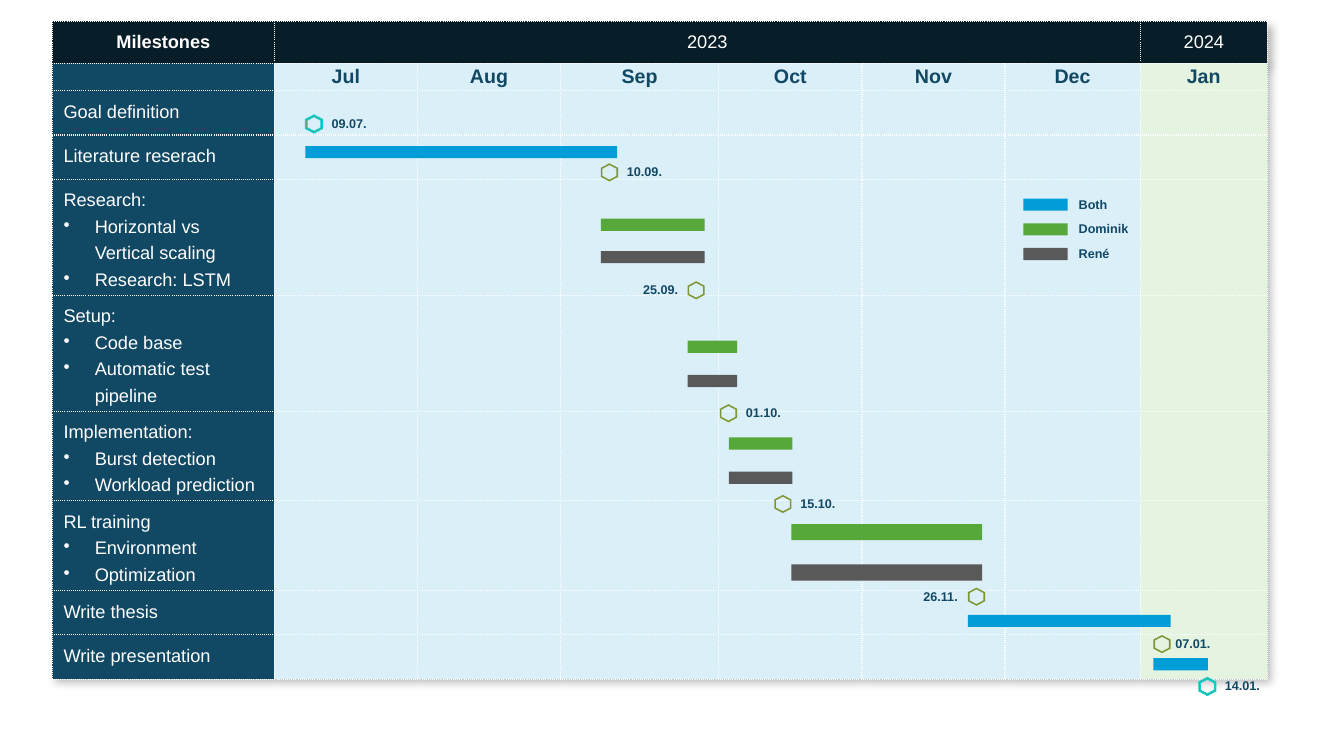
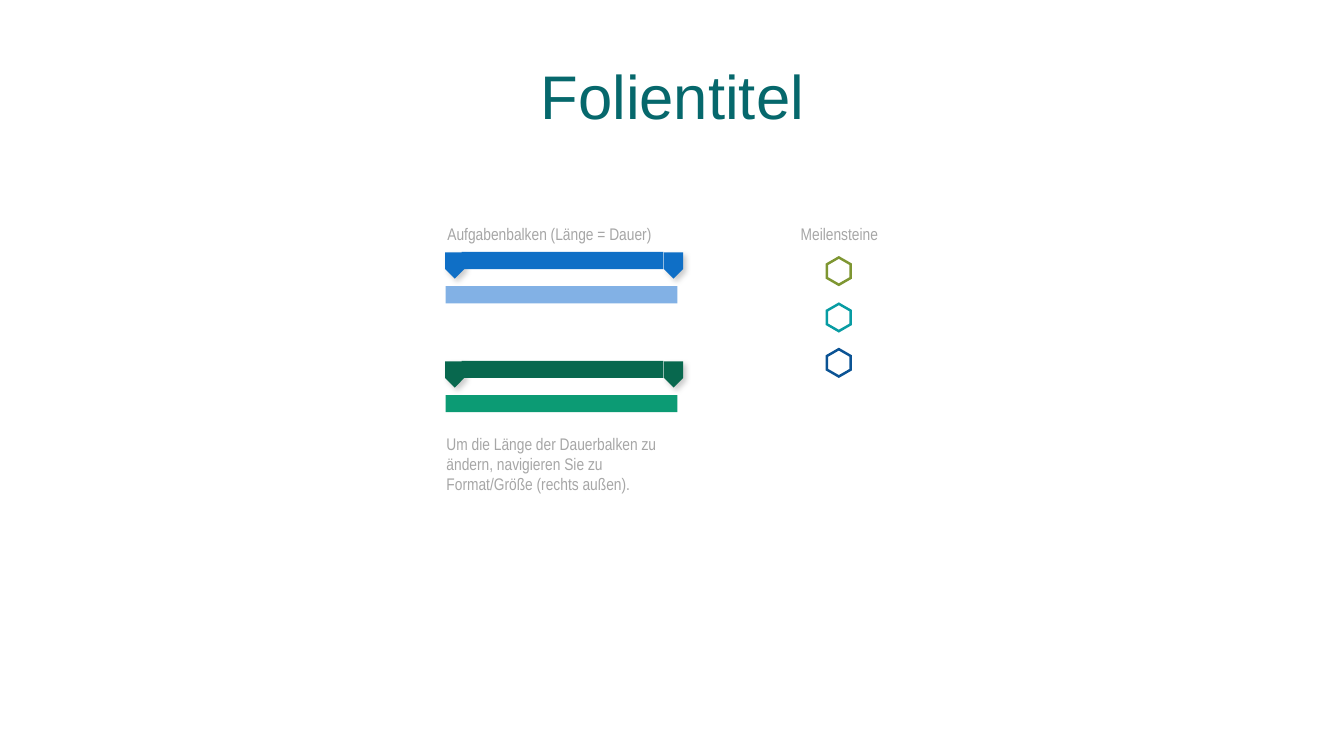
from lxml import etree
from pptx import Presentation
from pptx.dml.color import RGBColor
from pptx.enum import shapes, text
from pptx.oxml import ns
from pptx.util import Inches, Pt

WHITE = RGBColor(0xFF, 0xFF, 0xFF)
HEADER_NAVY = RGBColor(0x07, 0x1D, 0x28)
NAVY = RGBColor(0x11, 0x48, 0x64)
YEAR_BLUE = RGBColor(0xDB, 0xEF, 0xF9)
YEAR_GREEN = RGBColor(0xE5, 0xF4, 0xE0)
BOTH = RGBColor(0x00, 0x9D, 0xD9)
DOMINIK = RGBColor(0x55, 0xA8, 0x39)
RENE = RGBColor(0x59, 0x59, 0x59)
OLIVE = RGBColor(0x7E, 0x96, 0x32)
TURQUOISE = RGBColor(0x0B, 0xD0, 0xD9)
TEAL = RGBColor(0x08, 0x9C, 0xA3)
DEEP_BLUE = RGBColor(0x0B, 0x53, 0x94)
BLUE = RGBColor(0x0F, 0x6F, 0xC6)
LIGHT_BLUE = RGBColor(0x82, 0xB1, 0xE5)
DARK_GREEN = RGBColor(0x08, 0x68, 0x4E)
GREEN = RGBColor(0x0C, 0x9B, 0x74)
TITLE_TEAL = RGBColor(0x06, 0x68, 0x6C)
GREY = RGBColor(0xA6, 0xA6, 0xA6)

CENTER = text.PP_ALIGN.CENTER
MIDDLE = text.MSO_ANCHOR.MIDDLE
CELL_MARGINS = (0.11, 0.05)

MONTHS = ["Jul", "Aug", "Sep", "Oct", "Nov", "Dec", "Jan"]
MONTH_WIDTHS = [1.42, 1.42, 1.57, 1.42, 1.42, 1.34, 1.26]
TASK_WIDTH = 2.2
TASKS = [
    (0.44, ["Goal definition"]),
    (0.44, ["Literature reserach"]),
    (1.15, ["Research:", "Horizontal vs Vertical scaling", "Research: LSTM"]),
    (1.15, ["Setup:", "Code base", "Automatic test pipeline"]),
    (0.89, ["Implementation:", "Burst detection", "Workload prediction"]),
    (0.89, ["RL training", "Environment", "Optimization"]),
    (0.44, ["Write thesis"]),
    (0.44, ["Write presentation"]),
]
DATE_RIGHT, DATE_LEFT = 0.16, -0.54
MILESTONES = [
    ("09.07.", 3.03, 1.14, DATE_RIGHT, TURQUOISE),
    ("10.09.", 5.96, 1.62, DATE_RIGHT, None),
    ("25.09.", 6.82, 2.79, DATE_LEFT, None),
    ("01.10.", 7.14, 4.01, DATE_RIGHT, None),
    ("15.10.", 7.68, 4.91, DATE_RIGHT, None),
    ("26.11.", 9.6, 5.83, DATE_LEFT, None),
    ("07.01.", 11.44, 6.3, 0.12, None),
    ("14.01.", 11.89, 6.72, DATE_RIGHT, TURQUOISE),
]
SHARED_BARS = [(3.03, 1.45, 3.09), (9.6, 6.1, 2.01), (11.44, 6.53, 0.54)]
PAIRED_BARS = [
    (5.96, 1.03, 2.17, 2.49, 0.12),
    (6.82, 0.49, 3.38, 3.72, 0.12),
    (7.23, 0.63, 4.34, 4.68, 0.12),
    (7.85, 1.89, 5.2, 5.6, 0.16),
]


def write(frame, lines, size=13, font="Arial", color=WHITE, bold=False,
          align=None, spacing=None, bullets=False):
    for index, line in enumerate(lines):
        paragraph = frame.add_paragraph() if index else frame.paragraphs[0]
        paragraph.alignment = align
        paragraph.line_spacing = spacing
        if bullets and index:
            properties = paragraph._p.get_or_add_pPr()
            properties.set("marL", str(Inches(0.31)))
            properties.set("indent", str(-Inches(0.31)))
            etree.SubElement(properties, ns.qn("a:buChar"), char="•")
        run = paragraph.add_run()
        run.text = line
        run.font.size = Pt(size)
        run.font.name = font
        run.font.bold = bold
        run.font.color.rgb = color


def add_label(slide, content, left, top, width, height=0.25, **style):
    label = slide.shapes.add_textbox(*map(Inches, (left, top, width, height)))
    label.text_frame.word_wrap = True
    write(label.text_frame, [content], **style)


def add_shadow(effects, blur=4, distance=3, opacity=20):
    shadow = etree.SubElement(
        effects, ns.qn("a:outerShdw"), blurRad=str(Pt(blur)),
        dist=str(Pt(distance)), dir="2700000", algn="tl", rotWithShape="0")
    black = etree.SubElement(shadow, ns.qn("a:srgbClr"), val="000000")
    etree.SubElement(black, ns.qn("a:alpha"), val=str(opacity * 1000))


def paint(shape, color, outline=None):
    shape.shadow.inherit = False
    shape.fill.solid()
    shape.fill.fore_color.rgb = color
    if outline is None:
        shape.line.fill.background()
    else:
        shape.line.color.rgb = outline
        shape.line.width = Pt(0.75)


def add_bar(slide, left, top, width, color, height=0.12):
    bar = slide.shapes.add_shape(
        shapes.MSO_SHAPE.RECTANGLE, *map(Inches, (left, top, width, height)))
    paint(bar, color)


def add_bracket_end(slide, left, top, color):
    end = slide.shapes.add_shape(
        shapes.MSO_SHAPE.PENTAGON, *map(Inches, (left, top, 0.26, 0.19)))
    end.rotation = 90
    paint(end, color)
    add_shadow(end._element.spPr.find(ns.qn("a:effectLst")))


def add_hexagon(slide, left, top, width, height, color, outline=None):
    def ring(scale):
        corners = [(0, 0.5), (-0.5, 0.25), (-0.5, -0.25),
                   (0, -0.5), (0.5, -0.25), (0.5, 0.25)]
        return [(Inches(left + width * (0.5 + x * scale)),
                 Inches(top + height * (0.5 + y * scale))) for x, y in corners]

    outer, inner = ring(1), ring(0.81)
    builder = slide.shapes.build_freeform(*outer[0], scale=1.0)
    builder.add_line_segments(outer[1:], close=True)
    builder.move_to(*inner[0])
    builder.add_line_segments(inner[1:], close=True)
    paint(builder.convert_to_shape(), color, outline)


def format_cell(cell, color, margins=(0, 0)):
    cell.margin_left = cell.margin_right = Inches(margins[0])
    cell.margin_top = cell.margin_bottom = Inches(margins[1])
    cell.fill.solid()
    cell.fill.fore_color.rgb = color
    properties = cell._tc.get_or_add_tcPr()
    for index, side in enumerate(("lnL", "lnR", "lnT", "lnB")):
        border = etree.Element(ns.qn(f"a:{side}"), w=str(Pt(1)))
        fill = etree.SubElement(border, ns.qn("a:solidFill"))
        etree.SubElement(fill, ns.qn("a:srgbClr"), val=str(WHITE))
        etree.SubElement(border, ns.qn("a:prstDash"), val="sysDot")
        properties.insert(index, border)


def add_grid(slide, top, widths, heights):
    grid = slide.shapes.add_table(
        len(heights), len(widths), Inches(0.52), Inches(top),
        Inches(sum(widths)), Inches(sum(heights))).table
    grid.first_row = grid.horz_banding = False
    for column, width in zip(grid.columns, widths):
        column.width = Inches(width)
    for row, height in zip(grid.rows, heights):
        row.height = Inches(height)
    effects = etree.Element(ns.qn("a:effectLst"))
    add_shadow(effects, blur=6, distance=4, opacity=25)
    grid._tbl.tblPr.insert(0, effects)
    return grid


def add_years(slide):
    widths = [TASK_WIDTH, sum(MONTH_WIDTHS[:-1]), MONTH_WIDTHS[-1]]
    years = add_grid(slide, 0.21, widths, [0.42])
    for column, heading in enumerate(["Milestones", "2023", "2024"]):
        cell = years.cell(0, column)
        format_cell(cell, HEADER_NAVY, CELL_MARGINS)
        write(cell.text_frame, [heading], bold=column == 0,
              align=CENTER, spacing=1.3)


def add_schedule(slide):
    heights = [0.27] + [height for height, _ in TASKS]
    schedule = add_grid(slide, 0.63, [TASK_WIDTH] + MONTH_WIDTHS, heights)
    for row in range(len(heights)):
        for column in range(len(MONTHS) + 1):
            cell = schedule.cell(row, column)
            if row and not column:
                format_cell(cell, NAVY, CELL_MARGINS)
                write(cell.text_frame, TASKS[row - 1][1],
                      spacing=1.3, bullets=True)
                continue
            if not column:
                format_cell(cell, NAVY)
            else:
                format_cell(cell, YEAR_GREEN if column == len(MONTHS) else YEAR_BLUE)
            if column and not row:
                cell.vertical_anchor = MIDDLE
                write(cell.text_frame, [MONTHS[column - 1]], size=14,
                      color=NAVY, bold=True, align=CENTER)
            else:
                etree.SubElement(cell.text_frame.paragraphs[0]._p,
                                 ns.qn("a:endParaRPr"), sz="1000")


def build_timeline(deck):
    slide = deck.slides.add_slide(deck.slide_layouts[6])
    label_style = dict(size=9, color=NAVY, bold=True)
    add_years(slide)
    add_schedule(slide)
    for date, left, top, offset, outline in MILESTONES:
        add_hexagon(slide, left, top, 0.17, 0.18, OLIVE, outline)
        add_label(slide, date, left + offset, top - 0.04, 0.68, **label_style)
    for left, top, width in SHARED_BARS:
        add_bar(slide, left, top, width, BOTH)
    for left, width, dominik_top, rene_top, height in PAIRED_BARS:
        add_bar(slide, left, dominik_top, width, DOMINIK, height)
        add_bar(slide, left, rene_top, width, RENE, height)
    owners = [("Both", BOTH), ("Dominik", DOMINIK), ("René", RENE)]
    for index, (owner, color) in enumerate(owners):
        top = 1.97 + index * 0.245
        add_bar(slide, 10.15, top, 0.44, color)
        add_label(slide, owner, 10.6, top - 0.07, 0.82, **label_style)


def build_key(deck):
    slide = deck.slides.add_slide(deck.slide_layouts[5])
    title = slide.shapes.title
    title.left, title.top, title.width, title.height = map(
        Inches, (0.92, 0.4, 11.5, 1.18))
    title.text_frame.vertical_anchor = MIDDLE
    write(title.text_frame, ["Folientitel"], size=44, color=TITLE_TEAL,
          align=CENTER, spacing=0.9)

    hint_style = dict(size=12, font="Arial Narrow", color=GREY)
    add_label(slide, "Aufgabenbalken (Länge = Dauer)", 4.25, 2.17, 2.4, 0.3,
              align=CENTER, **hint_style)
    add_label(slide, "Meilensteine", 7.42, 2.17, 1.81, 0.3,
              align=CENTER, **hint_style)
    for top, bracket, duration in [(2.5, BLUE, LIGHT_BLUE),
                                   (3.58, DARK_GREEN, GREEN)]:
        add_bracket_end(slide, 4.38, top + 0.04, bracket)
        add_bar(slide, 4.58, top, 2, bracket, 0.17)
        add_bracket_end(slide, 6.55, top + 0.04, bracket)
        add_bar(slide, 4.42, top + 0.34, 2.3, duration, 0.17)
    for top, color in [(2.54, OLIVE), (3, TEAL), (3.45, DEEP_BLUE)]:
        add_hexagon(slide, 8.19, top, 0.26, 0.3, color)
    add_label(slide, "Um die Länge der Dauerbalken zu ändern, navigieren Sie zu "
              "Format/Größe (rechts außen).", 4.33, 4.25, 2.33, 0.71, **hint_style)


def main():
    deck = Presentation()
    deck.slide_width, deck.slide_height = Inches(13.33), Inches(7.5)
    build_timeline(deck)
    build_key(deck)
    deck.save("out.pptx")


if __name__ == "__main__":
    main()
